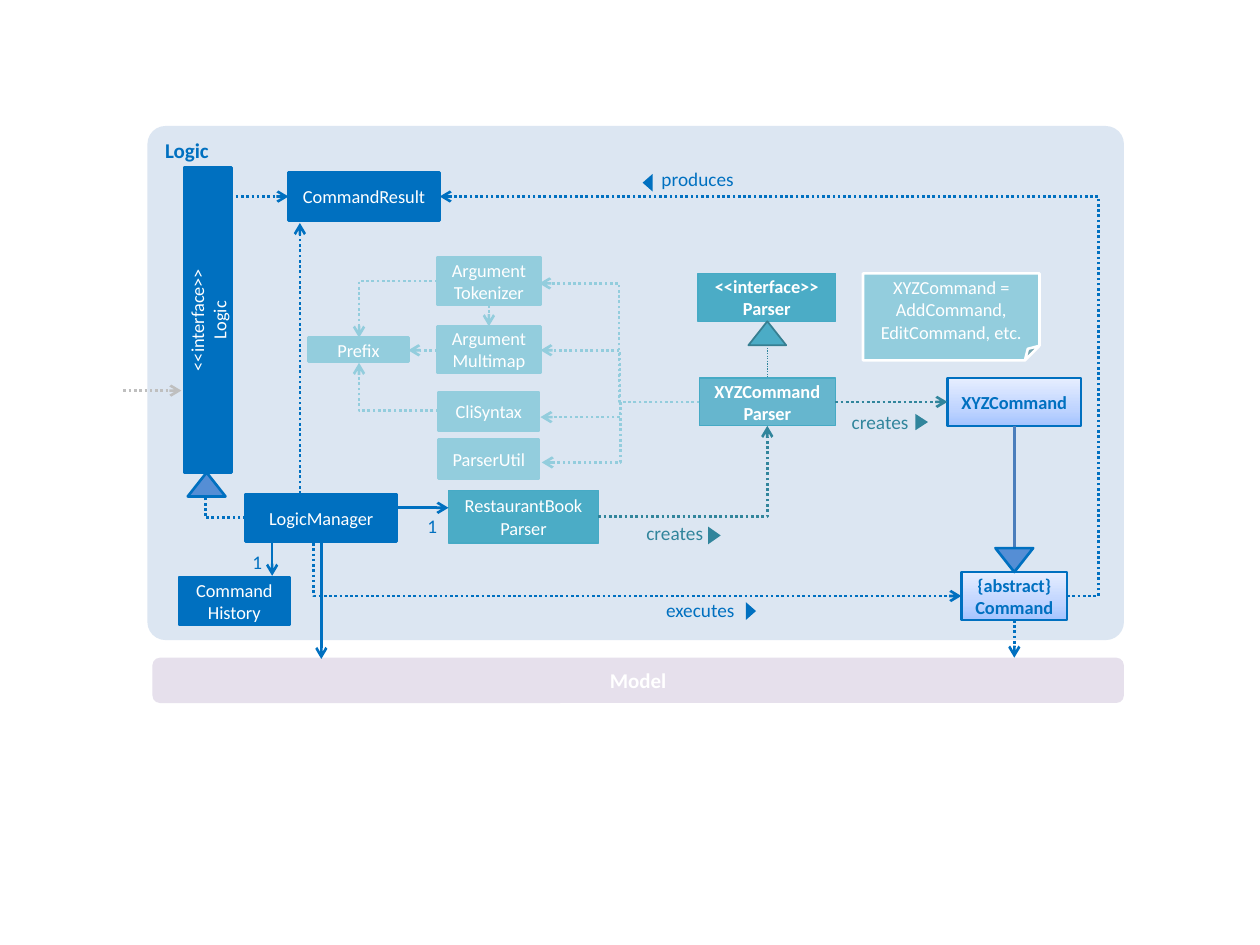
from lxml import etree
from pptx import Presentation
from pptx.dml.color import RGBColor
from pptx.enum import dml, shapes, text
from pptx.oxml import parse_xml
from pptx.oxml.ns import nsdecls, qn
from pptx.util import Inches, Pt

COLORS = {
    "panel": "DCE6F2", "model": "E6E0EC", "blue": "0070C0", "midblue": "558ED5",
    "inherit": "4B7EBC", "teal": "4BACC6", "teal_edge": "46AAC5", "teal_dark": "31859C",
    "teal_line": "377F92", "pale": "93CDDD", "gray": "BFBFBF", "white": "FFFFFF",
}
GRADIENT = [(0, "A4C4FF"), (35, "BFD4FF"), (100, "E6EEFF")]
KINDS = shapes.MSO_SHAPE
RECT, TRIANGLE = KINDS.RECTANGLE, KINDS.ISOSCELES_TRIANGLE

presentation = Presentation()
presentation.slide_width, presentation.slide_height = Inches(10), Inches(7.5)
slide = presentation.slides.add_slide(presentation.slide_layouts[6])


def rgb(name):
    return RGBColor.from_string(COLORS[name])


def add_block(kind, box, fill, edge=None, width=1.5, words="", color="white", size=10.5,
              bold=False, align=text.PP_ALIGN.CENTER, rotation=0):
    """Add a preset shape, or a text box without insets when kind is None."""
    place = [Inches(value) for value in box]
    if kind is None:
        shape = slide.shapes.add_textbox(*place)
        frame = shape.text_frame
        frame.margin_left = frame.margin_right = frame.margin_top = frame.margin_bottom = 0
    else:
        shape = slide.shapes.add_shape(kind, *place)
        shape.shadow.inherit = False
        shape.rotation = rotation
        if fill == "gradient":
            stops = "".join(f'<a:gs pos="{pos * 1000}"><a:srgbClr val="{value}"/></a:gs>'
                            for pos, value in GRADIENT)
            shape._element.spPr.find(qn("a:prstGeom")).addnext(parse_xml(
                f'<a:gradFill rotWithShape="1" {nsdecls("a")}><a:gsLst>{stops}</a:gsLst>'
                '<a:lin ang="16200000" scaled="0"/></a:gradFill>'))
        else:
            shape.fill.solid()
            shape.fill.fore_color.rgb = rgb(fill)
        if edge:
            shape.line.color.rgb = rgb(edge)
            shape.line.width = Pt(width)
        else:
            shape.line.fill.background()
    if words:
        frame = shape.text_frame
        frame.word_wrap = True
        frame.text = words
        for paragraph in frame.paragraphs:
            paragraph.alignment = align
            for run in paragraph.runs:
                run.font.name, run.font.size, run.font.bold = "Calibri", Pt(size), bold
                run.font.color.rgb = rgb(color)
    return shape


def add_link(start, end, color, preset="line", bend=None, dotted=True, arrow=True, width=1.5):
    """Add a straight or elbow connector with an optional open arrowhead."""
    kind = shapes.MSO_CONNECTOR.STRAIGHT if preset == "line" else shapes.MSO_CONNECTOR.ELBOW
    link = slide.shapes.add_connector(kind, *[Inches(value) for value in (*start, *end)])
    link.line.color.rgb = rgb(color)
    link.line.width = Pt(width)
    if dotted:
        link.line.dash_style = dml.MSO_LINE.ROUND_DOT
    properties = link._element.spPr
    geometry = properties.find(qn("a:prstGeom"))
    geometry.set("prst", preset)
    if bend is not None:
        guide = etree.SubElement(geometry.get_or_add_avLst(), qn("a:gd"))
        guide.set("name", "adj1")
        guide.set("fmla", f"val {round(bend * 100000)}")
    if arrow:
        etree.SubElement(properties.find(qn("a:ln")), qn("a:tailEnd")).set("type", "arrow")
    etree.SubElement(properties, qn("a:effectLst"))


# Logic panel and Model bar
panel = add_block(KINDS.ROUNDED_RECTANGLE, (1.17, 1, 7.75, 4.08), "panel", words="Logic",
                  color="blue", size=12, bold=True, align=text.PP_ALIGN.LEFT)
panel.adjustments[0] = 0.035
panel.text_frame.vertical_anchor = text.MSO_ANCHOR.TOP
add_block(KINDS.ROUNDED_RECTANGLE, (1.21, 5.22, 7.71, 0.36), "model",
          words="Model", size=12, bold=True)

# Main classes
for words, box, rotation in [
    ("CommandResult", (2.29, 1.37, 1.2, 0.38), 0),
    ("LogicManager", (1.95, 3.92, 1.2, 0.38), 0),
    ("Command\nHistory", (1.42, 4.58, 0.88, 0.38), 0),
    ("<<interface>>\nLogic", (0.44, 2.35, 2.42, 0.38), 270),
]:
    add_block(RECT, box, "blue", "blue", words=words, rotation=rotation)

# Command classes
for words, box in [("XYZCommand", (7.52, 3, 1.06, 0.38)),
                   ("{abstract}\vCommand", (7.63, 4.54, 0.84, 0.38))]:
    add_block(RECT, box, "gradient", "blue", words=words, color="blue", bold=True)

# Parser classes
for words, box, bold in [
    ("RestaurantBook\nParser", (3.56, 3.89, 1.19, 0.42), False),
    ("<<interface>>\nParser", (5.54, 2.17, 1.09, 0.38), True),
    ("XYZCommand\nParser", (5.55, 3, 1.08, 0.38), True),
]:
    parser = add_block(RECT, box, "teal", "teal_edge", 0.75, words, bold=bold)
fill_color = parser._element.spPr.find(qn("a:solidFill"))[0]
etree.SubElement(fill_color, qn("a:alpha")).set("val", "81000")

# Parsing helpers and note
for words, box in [
    ("Argument\vTokenizer", (3.47, 2.04, 0.82, 0.38)),
    ("Argument\vMultimap", (3.47, 2.59, 0.82, 0.37)),
    ("Prefix", (2.45, 2.68, 0.79, 0.19)),
    ("CliSyntax", (3.48, 3.11, 0.8, 0.31)),
    ("ParserUtil", (3.48, 3.49, 0.8, 0.31)),
]:
    add_block(RECT, box, "pale", "pale", words=words)
add_block(KINDS.FOLDED_CORNER, (6.85, 2.17, 1.4, 0.69), "pale", "white",
          words="XYZCommand = AddCommand, EditCommand, etc.")

# Straight links
for start, end, color, dotted in [
    ((1.83, 1.56), (2.29, 1.56), "blue", True),
    ((8.05, 4.92), (8.05, 5.22), "blue", True),
    ((2.38, 3.92), (2.38, 1.77), "blue", True),
    ((0.98, 3.1), (1.44, 3.1), "gray", True),
    ((2.55, 4.3), (2.55, 5.23), "blue", False),
    ((2.16, 4.31), (2.16, 4.57), "blue", False),
    ((3.16, 4.03), (3.56, 4.03), "blue", False),
    ((6.63, 3.19), (7.52, 3.19), "teal_dark", True),
    ((3.47, 2.78), (3.24, 2.78), "pale", True),
    ((3.88, 2.42), (3.88, 2.59), "pale", True),
]:
    add_link(start, end, color, dotted=dotted)

# Elbow links
for y, x in [(2.25, 4.28), (2.78, 4.29), (3.31, 4.29), (3.67, 4.3)]:
    add_link((5.55, 3.19), (x, y), "pale", "bentConnector3", 0.5)
add_link((8.47, 4.73), (3.49, 1.56), "blue", "bentConnector3", -0.05)
add_link((2.49, 4.31), (7.63, 4.73), "blue", "bentConnector3", 0)
for start, end, color in [((3.48, 3.26), (2.85, 2.88), "pale"),
                          ((3.47, 2.23), (2.85, 2.68), "pale"),
                          ((4.75, 4.1), (6.09, 3.38), "teal_dark")]:
    add_link(start, end, color, "bentConnector2")

# Inheritance links and triangles
add_link((1.95, 4.11), (1.63, 3.94), "blue", "bentConnector2", arrow=False)
add_link((8.05, 4.35), (8.05, 3.38), "inherit", dotted=False, arrow=False)
add_link((6.09, 2.74), (6.09, 3), "teal_dark", arrow=False, width=0.75)
for left, top, fill, edge, width, rotation in [
    (1.49, 3.75, "midblue", "blue", 1.5, 0),
    (7.9, 4.35, "midblue", "blue", 1.5, 180),
    (5.94, 2.55, "teal", "teal_line", 1, 0),
]:
    add_block(TRIANGLE, (left, top, 0.3, 0.19), fill, edge, width, rotation=rotation)

# Link labels and direction marks
LEFT, RIGHT = text.PP_ALIGN.LEFT, text.PP_ALIGN.RIGHT
for words, box, color, align in [
    ("executes", (5.03, 4.75, 0.8, 0.25), "blue", RIGHT),
    ("produces", (5.25, 1.33, 0.8, 0.25), "blue", LEFT),
    ("creates", (5.13, 4.14, 0.61, 0.28), "teal_dark", LEFT),
    ("creates", (6.76, 3.26, 0.65, 0.24), "teal_dark", LEFT),
    ("1", (3.33, 4.08, 0.14, 0.25), "blue", RIGHT),
    ("1", (1.94, 4.37, 0.14, 0.25), "blue", RIGHT),
]:
    add_block(None, box, None, words=words, color=color, size=11, align=align)
for box, color, rotation in [
    ((5.89, 4.81, 0.14, 0.08), "blue", 90),
    ((5.07, 1.41, 0.14, 0.08), "blue", 270),
    ((5.6, 4.2, 0.14, 0.1), "teal_dark", 90),
    ((7.25, 3.3, 0.13, 0.1), "teal_dark", 90),
]:
    add_block(TRIANGLE, box, color, rotation=rotation)

presentation.save("out.pptx")
